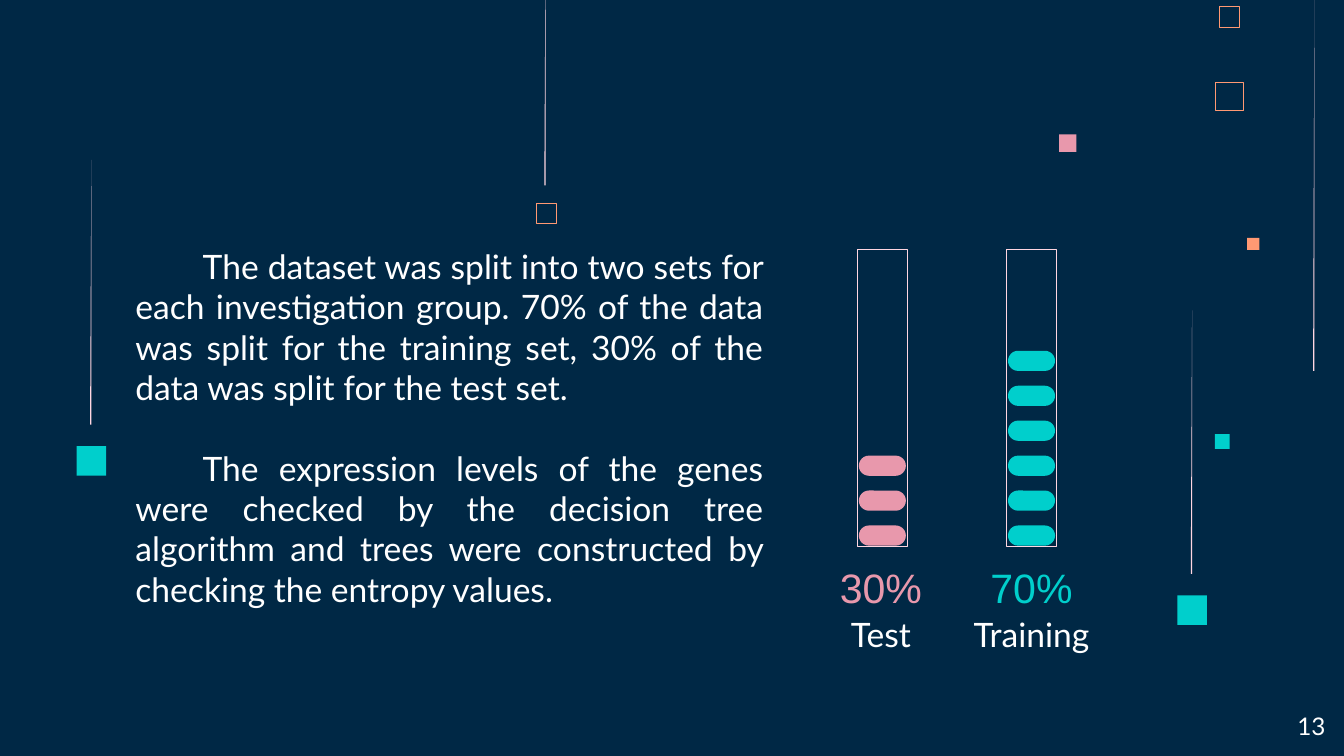
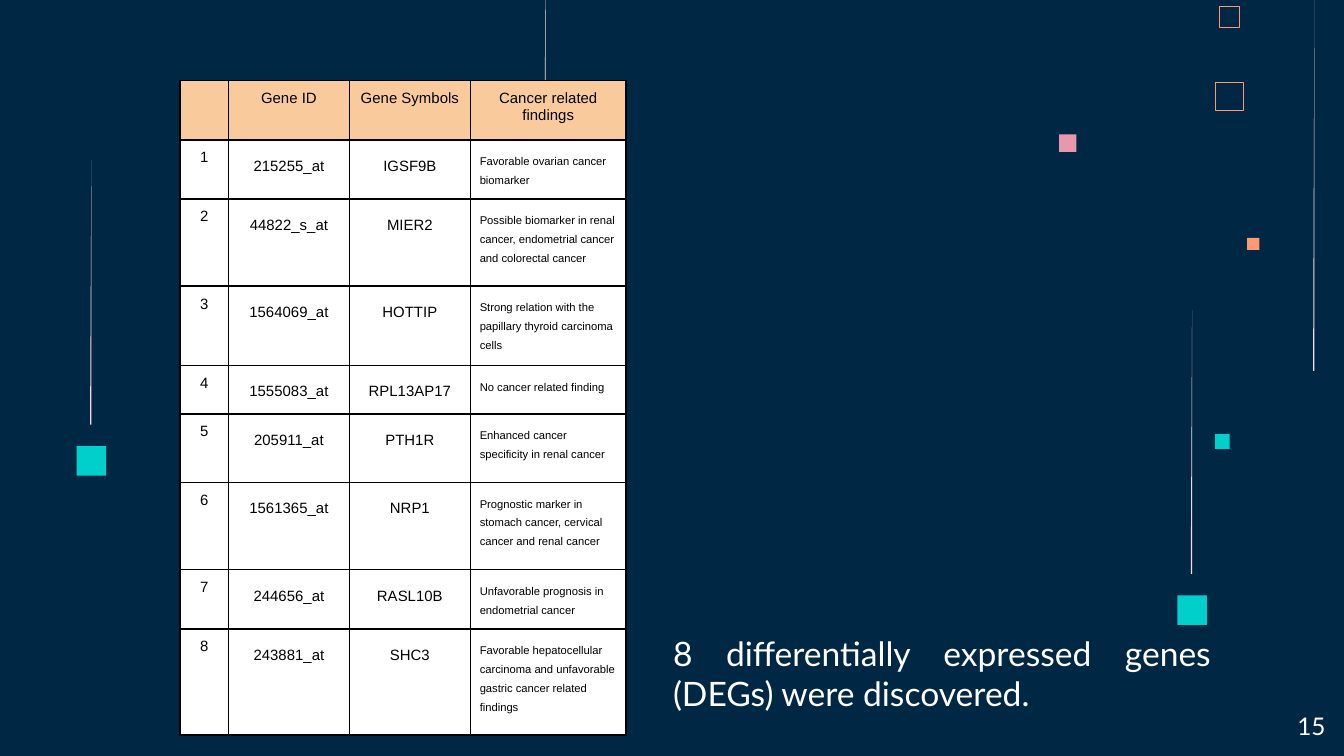
from lxml import etree
from pptx import Presentation
from pptx import util as u
from pptx.dml.color import RGBColor
from pptx.enum import shapes, text
from pptx.oxml import ns

PX = 9144  # EMU per px: 100 px to the inch

NAVY = RGBColor(0x00, 0x28, 0x45)
WHITE = RGBColor(0xFF, 0xFF, 0xFF)
BLACK = RGBColor(0x00, 0x00, 0x00)
PINK = RGBColor(0xE8, 0x98, 0xAC)
PALE_PINK = RGBColor(0xFF, 0xD6, 0xE1)
TEAL = RGBColor(0x00, 0xCF, 0xCC)
ORANGE = RGBColor(0xFF, 0x99, 0x73)
PEACH = RGBColor(0xF9, 0xCB, 0x9C)

LEFT, CENTER, RIGHT, JUSTIFY = (
    text.PP_ALIGN.LEFT, text.PP_ALIGN.CENTER, text.PP_ALIGN.RIGHT, text.PP_ALIGN.JUSTIFY)
TOP, BOTTOM = text.MSO_ANCHOR.TOP, text.MSO_ANCHOR.BOTTOM
RECTANGLE, PILL = shapes.MSO_SHAPE.RECTANGLE, shapes.MSO_SHAPE.ROUNDED_RECTANGLE

# Decoration shared by all slides: left, top, size, colour
SOLID_SQUARES = [
    (788, 100, 13, PINK), (904, 323, 11, TEAL), (928, 177, 9, ORANGE),
    (876, 443, 22, TEAL), (57, 332, 22, TEAL),
]
# left, top, size, line width in points
OUTLINED_SQUARES = [(904, 61, 21, 0.45), (907, 5, 15, 0.32), (399, 151, 15, 0.32)]
# left, top, height
STREAKS = [(405, -48, 186), (977, 0, 276), (886, 231, 196), (67, 119, 197)]

GENES = [
    ("215255_at", "IGSF9B", "Favorable ovarian cancer biomarker"),
    ("44822_s_at", "MIER2",
     "Possible biomarker in renal cancer, endometrial cancer and colorectal cancer"),
    ("1564069_at", "HOTTIP", "Strong relation with the papillary thyroid carcinoma cells"),
    ("1555083_at", "RPL13AP17", "No cancer related finding"),
    ("205911_at", "PTH1R", "Enhanced cancer specificity in renal cancer"),
    ("1561365_at", "NRP1",
     "Prognostic marker in stomach cancer, cervical cancer and renal cancer"),
    ("244656_at", "RASL10B", "Unfavorable prognosis in endometrial cancer"),
    ("243881_at", "SHC3",
     "Favorable hepatocellular carcinoma and unfavorable gastric cancer related findings"),
]
COLUMN_WIDTHS = [36, 90, 90, 116]
ROW_HEIGHTS = [30, 36, 65, 51, 36, 51, 65, 36, 79]


class Builder:
    def __init__(self):
        self.deck = Presentation()
        self.deck.slide_width = u.Inches(10)
        self.deck.slide_height = u.Inches(5.625)
        self.page = None

    def new_page(self, number):
        self.page = self.deck.slides.add_slide(self.deck.slide_layouts[6])
        background = self.page.background.fill
        background.solid()
        background.fore_color.rgb = NAVY
        for left, top, size, colour in SOLID_SQUARES:
            self.shape(RECTANGLE, left, top, size, size, fill=colour)
        for left, top, size, width in OUTLINED_SQUARES:
            self.shape(RECTANGLE, left, top, size, size, line=ORANGE, width=width)
        for left, top, height in STREAKS:
            self.streak(left, top, height)
        self.text(936, 519, 60, 43, [str(number)], size=13, align=RIGHT)

    def paint(self, shape, fill=None, line=None, width=0.5):
        shape.shadow.inherit = False
        if fill is None:
            shape.fill.background()
        else:
            shape.fill.solid()
            shape.fill.fore_color.rgb = fill
        if line is None:
            shape.line.fill.background()
        else:
            shape.line.color.rgb = line
            shape.line.width = u.Pt(width)

    def shape(self, kind, left, top, width_px, height, **style):
        shape = self.page.shapes.add_shape(
            kind, left * PX, top * PX, width_px * PX, height * PX)
        if kind == PILL:
            shape.adjustments[0] = 0.5
        self.paint(shape, **style)

    def streak(self, left, top, height):
        """A sliver that fades out towards its top."""
        outline = self.page.shapes.build_freeform(left + 1, top, scale=PX)
        outline.add_line_segments([(left, top + height), (left + 1, top + height)])
        self.paint(outline.convert_to_shape(), fill=PALE_PINK)

    def style(self, para, size, colour, font, align):
        para.alignment = align
        para.font.size = u.Pt(size)
        para.font.name = font
        para.font.color.rgb = colour

    def text(self, left, top, width, height, lines, size=18, colour=WHITE,
             font="Lato", align=CENTER, anchor=TOP, indent=0, gap=0):
        box = self.page.shapes.add_textbox(left * PX, top * PX, width * PX, height * PX)
        frame = box.text_frame
        frame.word_wrap = True
        frame.vertical_anchor = anchor
        frame.margin_left = frame.margin_right = 10 * PX
        frame.margin_top = frame.margin_bottom = 10 * PX
        for index, line in enumerate(lines):
            para = frame.add_paragraph() if index else frame.paragraphs[0]
            para.text = line
            self.style(para, size, colour, font, align)
            if indent:
                para._p.get_or_add_pPr().set("indent", str(indent * PX))
            if index and gap:
                para.space_before = u.Pt(gap)

    def tube(self, left, count, colour):
        self.shape(RECTANGLE, left, 186, 37, 221, line=PALE_PINK)
        for level in range(count):
            self.shape(PILL, left + 1, 391 - 26 * level, 35, 15, fill=colour)

    def table(self, left, top, widths, heights, rows):
        grid = self.page.shapes.add_table(
            len(rows), len(widths), left * PX, top * PX,
            sum(widths) * PX, sum(heights) * PX).table
        grid.first_row = grid.horz_banding = False
        for column, width in zip(grid.columns, widths):
            column.width = width * PX
        for row, height in zip(grid.rows, heights):
            row.height = height * PX
        for r, values in enumerate(rows):
            for c, value in enumerate(values):
                self.cell(grid.cell(r, c), value, header=r == 0, column=c)

    def cell(self, cell, value, header, column):
        self.borders(cell)
        cell.fill.solid()
        cell.fill.fore_color.rgb = PEACH if header else WHITE
        cell.margin_left = cell.margin_right = 7 * PX
        cell.margin_top = cell.margin_bottom = 7 * PX
        if not value:
            return
        finding = column == 3 and not header
        para = cell.text_frame.paragraphs[0]
        para.text = value
        self.style(para, 6 if finding else 8, BLACK, "Arial", LEFT if finding else CENTER)
        if column and not header:
            para.line_spacing = 1.5

    def borders(self, cell):
        properties = cell._tc.get_or_add_tcPr()
        for side in ("a:lnL", "a:lnR", "a:lnT", "a:lnB"):
            line = etree.SubElement(properties, ns.qn(side), w=str(u.Pt(1)))
            fill = etree.SubElement(line, ns.qn("a:solidFill"))
            etree.SubElement(fill, ns.qn("a:srgbClr"), val=str(BLACK))


def main():
    builder = Builder()

    # Data split
    builder.new_page(13)
    builder.text(91, 173, 487, 324, [
        "Тhe dataset was split into two sets for each investigation group. 70% of the data "
        "was split for the training set, 30% of the data was split for the test set.",
        "The expression levels of the genes were checked by the decision tree algorithm "
        "and trees were constructed by checking the entropy values.",
    ], align=JUSTIFY, indent=50, gap=21.6)
    builder.tube(749, 6, TEAL)
    builder.tube(638, 3, PINK)
    builder.text(606, 454, 99, 43, ["Test"], anchor=BOTTOM)
    builder.text(706, 454, 123, 43, ["Training"], anchor=BOTTOM)
    for left, share, colour in [(606, "30%", PINK), (718, "70%", TEAL)]:
        builder.text(left, 422, 99, 43, [share], size=22, colour=colour,
                     font="Arial", anchor=BOTTOM)

    # Discovered genes
    builder.new_page(15)
    builder.text(491, 461, 420, 79,
                 ["8 differentially expressed genes (DEGs) were discovered."], align=JUSTIFY)
    header = ("", "Gene ID", "Gene Symbols", "Cancer related findings")
    numbered = [(str(number), *gene) for number, gene in enumerate(GENES, start=1)]
    builder.table(134, 60, COLUMN_WIDTHS, ROW_HEIGHTS, [header, *numbered])

    builder.deck.save("out.pptx")


if __name__ == "__main__":
    main()
